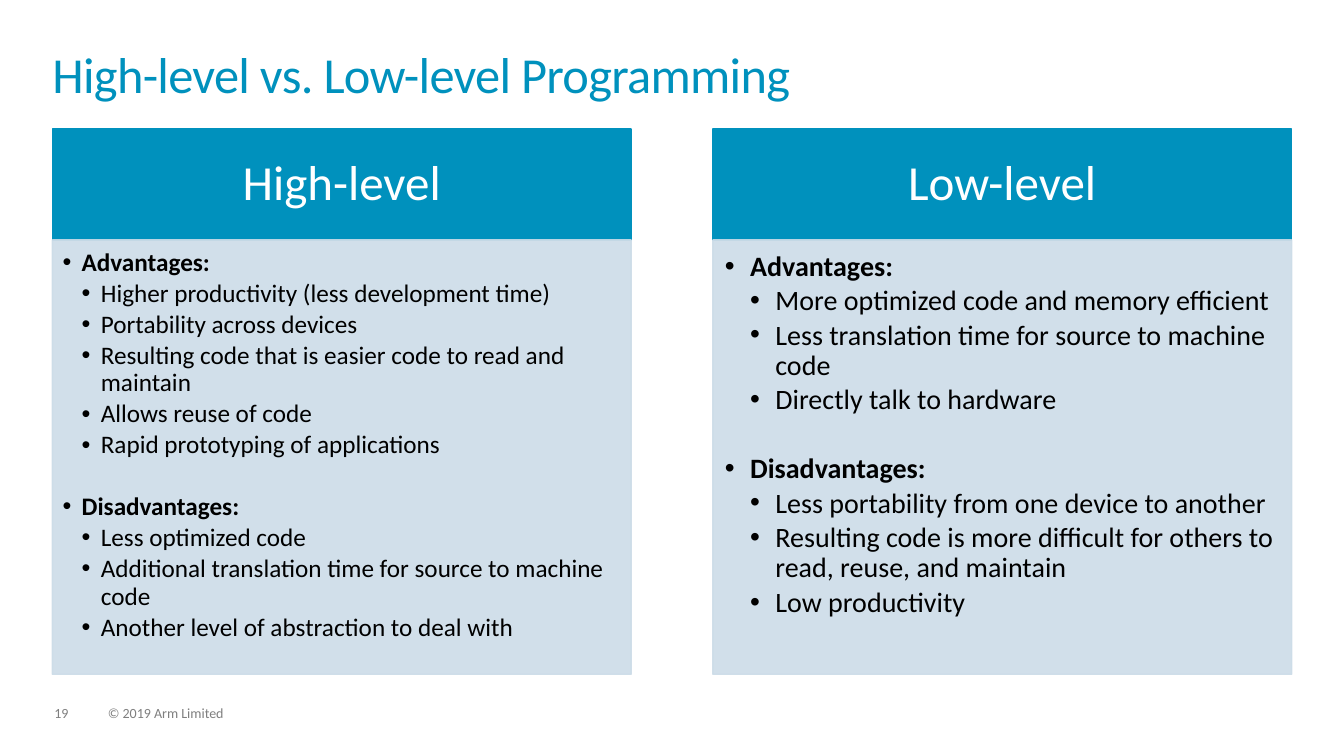
"""Build a slide comparing high-level and low-level programming."""
from dataclasses import dataclass

from lxml import etree
from pptx import Presentation
from pptx.dml.color import RGBColor
from pptx.enum.text import MSO_ANCHOR, MSO_AUTO_SIZE, PP_ALIGN
from pptx.oxml.ns import qn
from pptx.util import Inches, Pt

LEFT, CENTER = PP_ALIGN.LEFT, PP_ALIGN.CENTER
TOP, MIDDLE = MSO_ANCHOR.TOP, MSO_ANCHOR.MIDDLE
NO_AUTOFIT = MSO_AUTO_SIZE.NONE
COMPARISON_LAYOUT = 4
FONT = "Calibri"
COLORS = {"accent": "0091BD", "panel": "CCDCE8", "white": "FFFFFF",
          "black": "000000", "gray": "7F7F7F"}


@dataclass
class Column:
    """One side of the comparison, with its lists and text metrics."""
    heading: str
    left: float
    size: int
    indent: float
    insets: tuple[float, float, float, float]
    groups: dict[str, list[str]]


@dataclass
class FooterItem:
    """A small text at the foot of the slide."""
    text: str
    left: float
    width: float


COLUMNS = [
    Column("High-level", 0.52, 18, 0.19, (0.1, 0.1, 0.14, 0.16), {
        "Advantages:": [
            "Higher productivity (less development time)",
            "Portability across devices",
            "Resulting code that is easier code to read and maintain",
            "Allows reuse of code",
            "Rapid prototyping of applications"],
        "Disadvantages:": [
            "Less optimized code",
            "Additional translation time for source to machine code",
            "Another level of abstraction to deal with"]}),
    Column("Low-level", 7.07, 20, 0.25, (0.12, 0.12, 0.16, 0.17), {
        "Advantages:": [
            "More optimized code and memory efficient",
            "Less translation time for source to machine code",
            "Directly talk to hardware"],
        "Disadvantages:": [
            "Less portability from one device to another",
            "Resulting code is more difficult for others to read, reuse, and maintain",
            "Low productivity"]}),
]
FOOTER = [FooterItem("19", 0.54, 0.34),
          FooterItem("© 2019 Arm Limited", 1.07, 5.07)]


def rgb(name: str) -> RGBColor:
    """Return the named colour."""
    return RGBColor.from_string(COLORS[name])


def place(sp, left: float, top: float, width: float, height: float,
          insets=(0, 0, 0, 0), anchor=TOP):
    """Position a shape and return its prepared text frame."""
    sp.left, sp.top = Inches(left), Inches(top)
    sp.width, sp.height = Inches(width), Inches(height)
    tf = sp.text_frame
    tf.word_wrap, tf.auto_size, tf.vertical_anchor = True, NO_AUTOFIT, anchor
    tf.margin_left, tf.margin_top, tf.margin_right, tf.margin_bottom = map(Inches, insets)
    return tf


def write(tf, text: str, *, size: float, color: str, bold=False, align=LEFT,
          spacing=0.9, before=0.0, after=0.0, level=0, indent=0.0, tracking=0) -> None:
    """Add one formatted paragraph, bulleted when an indent is given."""
    p = tf.add_paragraph() if tf.text else tf.paragraphs[0]
    p.alignment, p.level, p.line_spacing = align, level, spacing
    p.space_before, p.space_after = Pt(before), Pt(after)
    if indent:
        pPr = p._p.get_or_add_pPr()
        pPr.set("marL", str(Inches(indent * (level + 1))))
        pPr.set("indent", str(-Inches(indent)))
        etree.SubElement(pPr, qn("a:buFont"), typeface="Arial")
        etree.SubElement(pPr, qn("a:buChar"), char="•")
    r = p.add_run()
    r.text = text
    r.font.name, r.font.size, r.font.bold = FONT, Pt(size), bold
    r.font.color.rgb = rgb(color)
    if tracking:
        r._r.get_or_add_rPr().set("spc", str(tracking))


def paint(sp, color: str, opacity: int = 100) -> None:
    """Give a shape a fill and a matching one-point outline."""
    sp.fill.solid()
    sp.fill.fore_color.rgb = rgb(color)
    sp.line.width = Pt(1)
    sp.line.color.rgb = rgb(color)
    if opacity < 100:
        for clr in sp._element.spPr.iter(qn("a:srgbClr")):
            etree.SubElement(clr, qn("a:alpha"), val=str(opacity * 1000))


def add_column(column: Column, header, body) -> None:
    """Fill the header and list placeholders of one column."""
    tf = place(header, column.left, 1.28, 5.74, 1.1, (0.27, 0.16, 0.27, 0.16), MIDDLE)
    paint(header, "accent")
    write(tf, column.heading, size=35, color="white", align=CENTER)

    tf = place(body, column.left, 2.38, 5.74, 4.31, column.insets)
    paint(body, "panel", opacity=90)
    style = dict(size=column.size, color="black", indent=column.indent,
                 after=column.size * 0.15)
    for i, (title, items) in enumerate(column.groups.items()):
        write(tf, title, bold=True, before=column.size * 1.23 * i, **style)
        for item in items:
            write(tf, item, level=1, **style)


def main() -> None:
    """Create and save the presentation."""
    prs = Presentation()
    prs.slide_width, prs.slide_height = Inches(13.33), Inches(7.5)
    s = prs.slides.add_slide(prs.slide_layouts[COMPARISON_LAYOUT])
    title, *panels = s.placeholders

    tf = place(title, 0.52, 0.52, 12.28, 0.72)
    write(tf, "High-level vs. Low-level Programming", size=36, color="accent",
          spacing=0.85, tracking=-50)
    for column, header, body in zip(COLUMNS, panels[::2], panels[1::2]):
        add_column(column, header, body)
    for item in FOOTER:
        box = s.shapes.add_textbox(0, 0, 0, 0)
        tf = place(box, item.left, 7.01, item.width, 0.15)
        write(tf, item.text, size=10, color="gray")
    prs.save("out.pptx")


if __name__ == "__main__":
    main()
